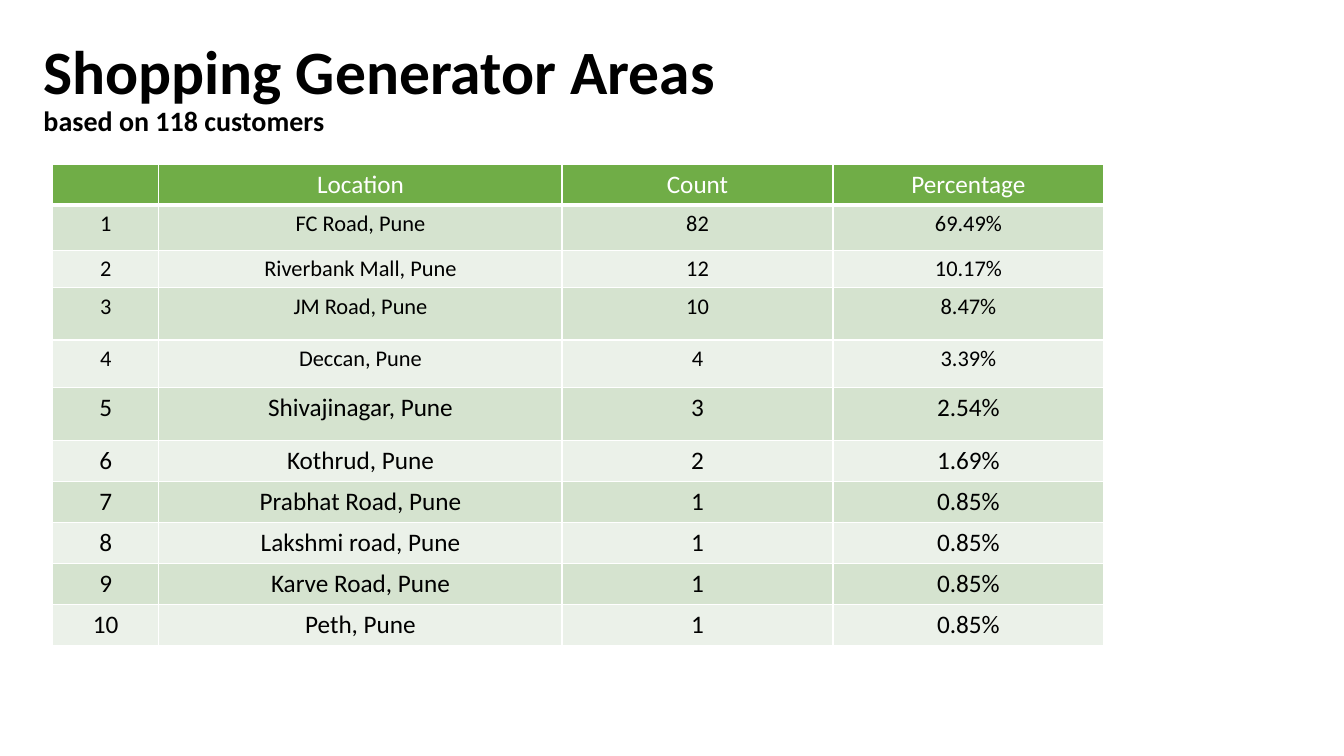
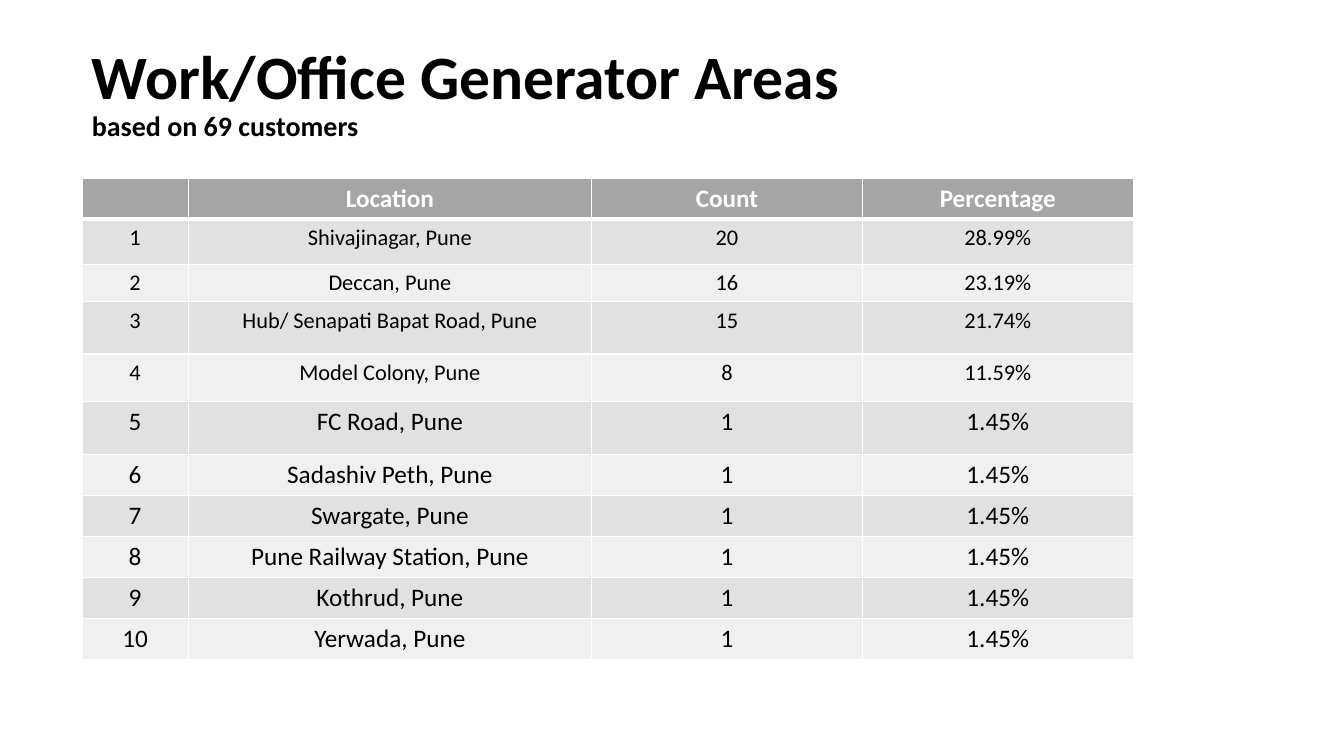
from lxml.etree import SubElement
from pptx import Presentation
from pptx.dml.color import RGBColor
from pptx.enum.text import MSO_ANCHOR, PP_ALIGN
from pptx.oxml.ns import qn
from pptx.util import Pt

FONT = "Calibri"
COLORS = {
    "text": "000000",
    "white": "FFFFFF",
    "green": "70AD47",
    "green_dark_band": "D5E3CF",
    "green_light_band": "EBF1E9",
    "gray": "A5A5A5",
    "gray_dark_band": "E1E1E1",
    "gray_light_band": "F0F0F0",
}

HEADINGS = ("", "Location", "Count", "Percentage")
COLUMN_WIDTHS = (76, 288, 193.5, 193.5)
ROW_HEIGHTS = (28.2, 32.4, 26.8, 37.4, 33.8, 38.2) + (29.2,) * 5
SMALL_TEXT_ROWS = range(1, 5)

SHOPPING_AREAS = (
    ("FC Road, Pune", "82", "69.49%"),
    ("Riverbank Mall, Pune", "12", "10.17%"),
    ("JM Road, Pune", "10", "8.47%"),
    ("Deccan, Pune", "4", "3.39%"),
    ("Shivajinagar, Pune", "3", "2.54%"),
    ("Kothrud, Pune", "2", "1.69%"),
    ("Prabhat Road, Pune", "1", "0.85%"),
    ("Lakshmi road, Pune", "1", "0.85%"),
    ("Karve Road, Pune", "1", "0.85%"),
    ("Peth, Pune", "1", "0.85%"),
)
OFFICE_AREAS = (
    ("Shivajinagar, Pune", "20", "28.99%"),
    ("Deccan, Pune", "16", "23.19%"),
    ("Hub/ Senapati Bapat Road, Pune", "15", "21.74%"),
    ("Model Colony, Pune", "8", "11.59%"),
    ("FC Road, Pune", "1", "1.45%"),
    ("Sadashiv Peth, Pune", "1", "1.45%"),
    ("Swargate, Pune", "1", "1.45%"),
    ("Pune Railway Station, Pune", "1", "1.45%"),
    ("Kothrud, Pune", "1", "1.45%"),
    ("Yerwada, Pune", "1", "1.45%"),
)


def color(name):
    return RGBColor.from_string(COLORS[name])


def style_font(font, size, color_name, bold):
    font.name = FONT
    font.size = Pt(size)
    font.bold = bold
    font.color.rgb = color(color_name)


def add_title(slide, heading, basis, left, top, width, height):
    title = slide.shapes.add_textbox(Pt(left), Pt(top), Pt(width), Pt(height))
    frame = title.text_frame
    frame.word_wrap = True
    frame.vertical_anchor = MSO_ANCHOR.MIDDLE
    line = frame.paragraphs[0]
    line.text = f"{heading}\v{basis}"
    line.line_spacing = 0.9
    for run, size in zip(line.runs, (44, 20)):
        style_font(run.font, size, "text", True)


def set_borders(cell, row):
    # The rule below the header is thicker than the other grid lines
    widths = {"lnL": 1, "lnR": 1,
              "lnT": 3 if row == 1 else 1, "lnB": 3 if row == 0 else 1}
    properties = cell._tc.get_or_add_tcPr()
    for side, width in widths.items():
        border = SubElement(properties, qn(f"a:{side}"), w=str(Pt(width)))
        fill = SubElement(border, qn("a:solidFill"))
        SubElement(fill, qn("a:srgbClr"), val=COLORS["white"])


def fill_cell(cell, text, row, theme, bold_header):
    set_borders(cell, row)
    if row == 0:
        fill_name, text_color = theme, "white"
    else:
        band = "dark" if row % 2 else "light"
        fill_name, text_color = f"{theme}_{band}_band", "text"
    cell.fill.solid()
    cell.fill.fore_color.rgb = color(fill_name)
    paragraph = cell.text_frame.paragraphs[0]
    paragraph.text = text
    paragraph.alignment = PP_ALIGN.CENTER
    size = 16 if row in SMALL_TEXT_ROWS else 18
    style_font(paragraph.font, size, text_color, row == 0 and bold_header)
    for run in paragraph.runs:
        style_font(run.font, size, text_color, row == 0 and bold_header)


def add_area_table(slide, areas, left, top, theme, bold_header):
    ranked = [(str(rank), *area) for rank, area in enumerate(areas, 1)]
    rows = [HEADINGS, *ranked]
    table = slide.shapes.add_table(
        len(rows), len(HEADINGS), Pt(left), Pt(top),
        Pt(sum(COLUMN_WIDTHS)), Pt(sum(ROW_HEIGHTS))).table
    for column, width in zip(table.columns, COLUMN_WIDTHS):
        column.width = Pt(width)
    for row, (values, height) in enumerate(zip(rows, ROW_HEIGHTS)):
        table.rows[row].height = Pt(height)
        for column, text in enumerate(values):
            fill_cell(table.cell(row, column), text, row, theme, bold_header)


def main():
    deck = Presentation()
    deck.slide_width, deck.slide_height = Pt(960), Pt(540)
    blank = deck.slide_layouts[6]

    # Shopping areas
    shopping = deck.slides.add_slide(blank)
    add_title(shopping, "Shopping Generator Areas", "based on 118 customers",
              24, 18, 651, 92)
    add_area_table(shopping, SHOPPING_AREAS, 37.5, 117.5, "green", False)

    # Work and office areas
    office = deck.slides.add_slide(blank)
    add_title(office, "Work/Office Generator Areas", "based on 69 customers",
              58.5, 29, 820, 77)
    add_area_table(office, OFFICE_AREAS, 58.5, 127.5, "gray", True)

    deck.save("out.pptx")


if __name__ == "__main__":
    main()
